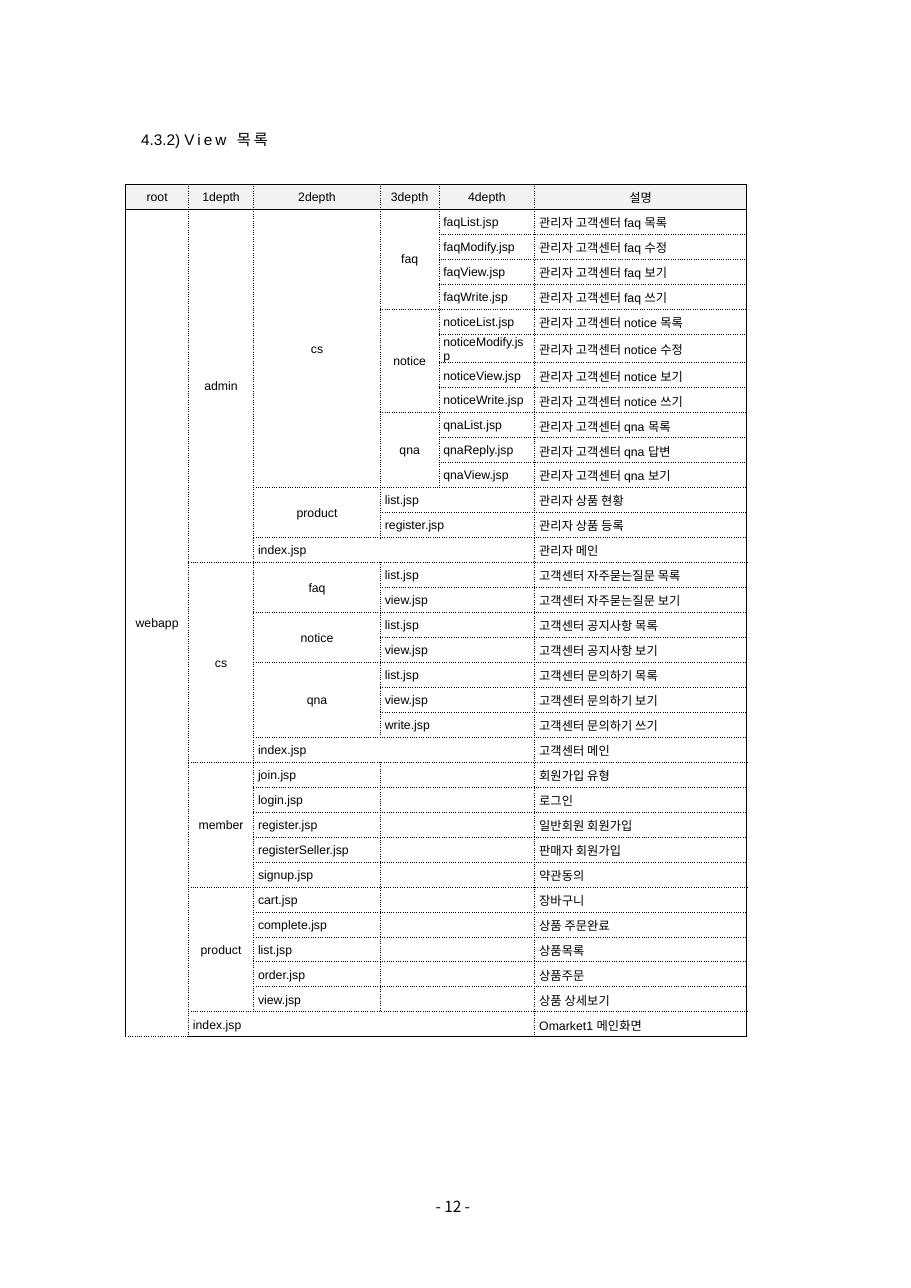
from lxml import etree
from pptx import Presentation
from pptx import util as u
from pptx.dml.color import RGBColor
from pptx.enum import text
from pptx.oxml.ns import qn

# Content: a branch holds (name, children), a file holds (name, description)
TITLE = [("4.3.2) ", 0), ("View 목록", 2)]
PAGE = "- 12 -"
HEADERS = ["root", "1depth", "2depth", "3depth", "4depth", "설명"]
VIEWS = ("webapp", [
    ("admin", [
        ("cs", [
            ("faq", [
                ("faqList.jsp", "관리자 고객센터 faq 목록"),
                ("faqModify.jsp", "관리자 고객센터 faq 수정"),
                ("faqView.jsp", "관리자 고객센터 faq 보기"),
                ("faqWrite.jsp", "관리자 고객센터 faq 쓰기")]),
            ("notice", [
                ("noticeList.jsp", "관리자 고객센터 notice 목록"),
                ("noticeModify.jsp", "관리자 고객센터 notice 수정"),
                ("noticeView.jsp", "관리자 고객센터 notice 보기"),
                ("noticeWrite.jsp", "관리자 고객센터 notice 쓰기")]),
            ("qna", [
                ("qnaList.jsp", "관리자 고객센터 qna 목록"),
                ("qnaReply.jsp", "관리자 고객센터 qna 답변"),
                ("qnaView.jsp", "관리자 고객센터 qna 보기")])]),
        ("product", [
            ("list.jsp", "관리자 상품 현황"),
            ("register.jsp", "관리자 상품 등록")]),
        ("index.jsp", "관리자 메인")]),
    ("cs", [
        ("faq", [
            ("list.jsp", "고객센터 자주묻는질문 목록"),
            ("view.jsp", "고객센터 자주묻는질문 보기")]),
        ("notice", [
            ("list.jsp", "고객센터 공지사항 목록"),
            ("view.jsp", "고객센터 공지사항 보기")]),
        ("qna", [
            ("list.jsp", "고객센터 문의하기 목록"),
            ("view.jsp", "고객센터 문의하기 보기"),
            ("write.jsp", "고객센터 문의하기 쓰기")]),
        ("index.jsp", "고객센터 메인")]),
    ("member", [
        ("join.jsp", "회원가입 유형"),
        ("login.jsp", "로그인"),
        ("register.jsp", "일반회원 회원가입"),
        ("registerSeller.jsp", "판매자 회원가입"),
        ("signup.jsp", "약관동의")]),
    ("product", [
        ("cart.jsp", "장바구니"),
        ("complete.jsp", "상품 주문완료"),
        ("list.jsp", "상품목록"),
        ("order.jsp", "상품주문"),
        ("view.jsp", "상품 상세보기")]),
    ("index.jsp", "Omarket1 메인화면")])

# Layout
COLUMNS = [0.57, 0.59, 1.15, 0.53, 0.87, 1.92]
TABLE_LEFT, TABLE_TOP, TABLE_HEIGHT = 1.14, 1.67, 7.71
LATIN, KOREAN, BLACK, HEADER_FILL = "Arial", "Noto Sans CJK KR", "000000", "F2F2F2"
NO_STYLE = "{2D5ABB26-0587-4C30-8999-92F81FD0307C}"
DESCRIPTION = len(HEADERS) - 1
CELL = dict(vertical_anchor=text.MSO_ANCHOR.MIDDLE, margin_left=u.Inches(0.04),
            margin_top=u.Inches(0.01), margin_right=u.Inches(0.04), margin_bottom=0)
FRAME = dict(margin_left=0, margin_top=0, margin_right=0, margin_bottom=0,
             vertical_anchor=text.MSO_ANCHOR.TOP, auto_size=text.MSO_AUTO_SIZE.NONE,
             word_wrap=False)


def apply(target, values):
    for name, value in values.items():
        setattr(target, name, value)


def color(hex_value):
    return RGBColor.from_string(hex_value)


def add_run(paragraph, words, size, latin=LATIN, spacing=0):
    run = paragraph.add_run()
    run.text = words
    apply(run.font, dict(size=u.Pt(size), name=latin, bold=False))
    run.font.color.rgb = color(BLACK)
    props = run.font._element
    etree.SubElement(props, qn("a:ea")).set("typeface", KOREAN)
    if spacing:
        props.set("spc", str(spacing * 100))


def place_line(box, left, top, width, height, spacing):
    apply(box, dict(left=u.Inches(left), top=u.Inches(top),
                    width=u.Inches(width), height=u.Inches(height)))
    apply(box.text_frame, FRAME)
    line = box.text_frame.paragraphs[0]
    apply(line, dict(alignment=text.PP_ALIGN.LEFT, line_spacing=u.Pt(spacing)))
    return line


def count_files(node):
    return sum(map(count_files, node[1])) if isinstance(node[1], list) else 1


def tree_areas(node, row, col, files_only=False):
    """Yield (row, col, rows, cols, words, centered) for a node and all below it."""
    name, content = node
    if isinstance(content, list):
        yield row, col, count_files(node), 1, name, True
        plain = not any(isinstance(child[1], list) for child in content)
        for child in content:
            yield from tree_areas(child, row, col + 1, plain)
            row += count_files(child)
        return
    # Among plain files at 2depth the name keeps its own column
    width = 1 if files_only and col == 2 else DESCRIPTION - col
    yield row, col, 1, width, name, False
    if col + width < DESCRIPTION:
        yield row, col + width, 1, DESCRIPTION - col - width, "", False
    yield row, DESCRIPTION, 1, 1, content, False


def add_borders(cell, solid_by_side):
    props = cell._tc.get_or_add_tcPr()
    for place, (side, solid) in enumerate(solid_by_side):
        line = etree.Element(qn("a:ln" + side), w=str(u.Pt(0.5)))
        fill = etree.SubElement(line, qn("a:solidFill"))
        etree.SubElement(fill, qn("a:srgbClr"), val=BLACK)
        etree.SubElement(line, qn("a:prstDash"), val="solid" if solid else "sysDot")
        props.insert(place, line)


def fill_area(table, row, col, rows, cols, words, centered):
    last_row, last_col = row + rows - 1, col + cols - 1
    first = table.cell(row, col)
    if rows * cols > 1:
        first.merge(table.cell(last_row, last_col))
    bottom_solid = row == 0 or (last_row == len(table.rows) - 1 and col > 0)
    sides = [("L", col == 0), ("R", last_col == DESCRIPTION),
             ("T", row <= 1), ("B", bottom_solid)]
    for r in range(row, last_row + 1):
        for c in range(col, last_col + 1):
            cell = table.cell(r, c)
            apply(cell, CELL)
            if row == 0:
                cell.fill.solid()
                cell.fill.fore_color.rgb = color(HEADER_FILL)
            else:
                cell.fill.background()
            on_edge = dict(L=c == col, R=c == last_col, T=r == row, B=r == last_row)
            is_first = (r, c) == (row, col)
            add_borders(cell, [s for s in sides if is_first or on_edge[s[0]]])
            line = cell.text_frame.paragraphs[0]
            if is_first and words:
                line.alignment = text.PP_ALIGN.CENTER if centered else text.PP_ALIGN.LEFT
                add_run(line, words, 8)
            else:
                etree.SubElement(line._p, qn("a:endParaRPr"), sz="800")


def main():
    prs = Presentation()
    apply(prs, dict(slide_width=u.Inches(8.26), slide_height=u.Inches(11.68)))
    slide = prs.slides.add_slide(prs.slide_layouts[5])

    # Title and page number
    heading = place_line(slide.shapes.title, 1.28, 1.19, 1.4, 0.15, 11.4)
    for words, spacing in TITLE:
        add_run(heading, words, 10, spacing=spacing)
    page_box = slide.shapes.add_textbox(0, 0, 0, 0)
    add_run(place_line(page_box, 3.95, 10.84, 0.53, 0.23, 13.2), PAGE, 10, KOREAN)

    # View table
    row_count = 1 + count_files(VIEWS)
    frame = slide.shapes.add_table(
        row_count, len(COLUMNS), u.Inches(TABLE_LEFT), u.Inches(TABLE_TOP),
        u.Inches(sum(COLUMNS)), u.Inches(TABLE_HEIGHT))
    table = frame.table
    apply(table, dict(first_row=False, horz_banding=False))
    table._tbl.tblPr.find(qn("a:tableStyleId")).text = NO_STYLE
    for column, width in zip(table.columns, COLUMNS):
        column.width = u.Inches(width)
    for row in table.rows:
        row.height = u.Inches(TABLE_HEIGHT / row_count)
    header_areas = [(0, col, 1, 1, words, True) for col, words in enumerate(HEADERS)]
    for area in header_areas + list(tree_areas(VIEWS, 1, 0)):
        fill_area(table, *area)

    prs.save("out.pptx")


if __name__ == "__main__":
    main()
